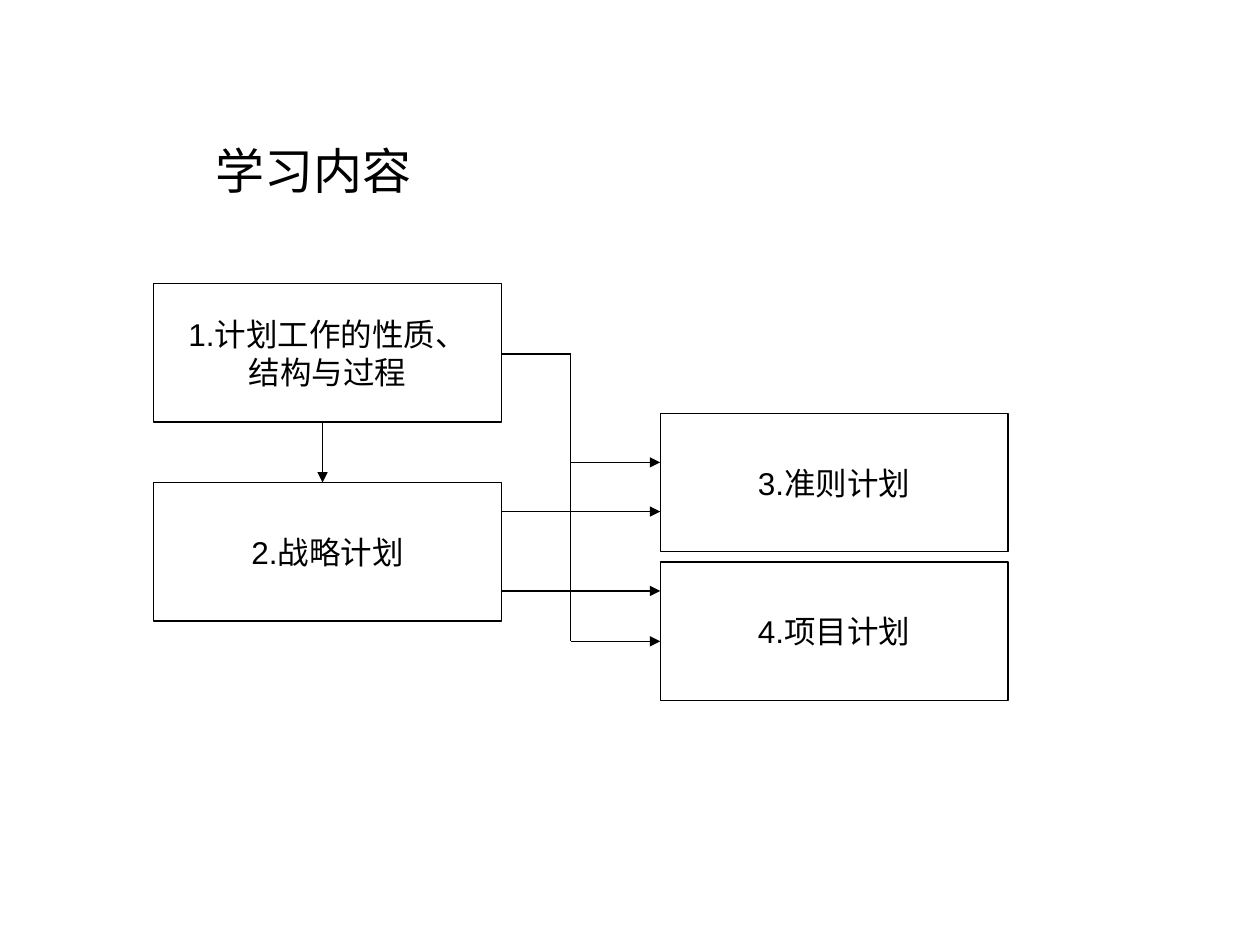
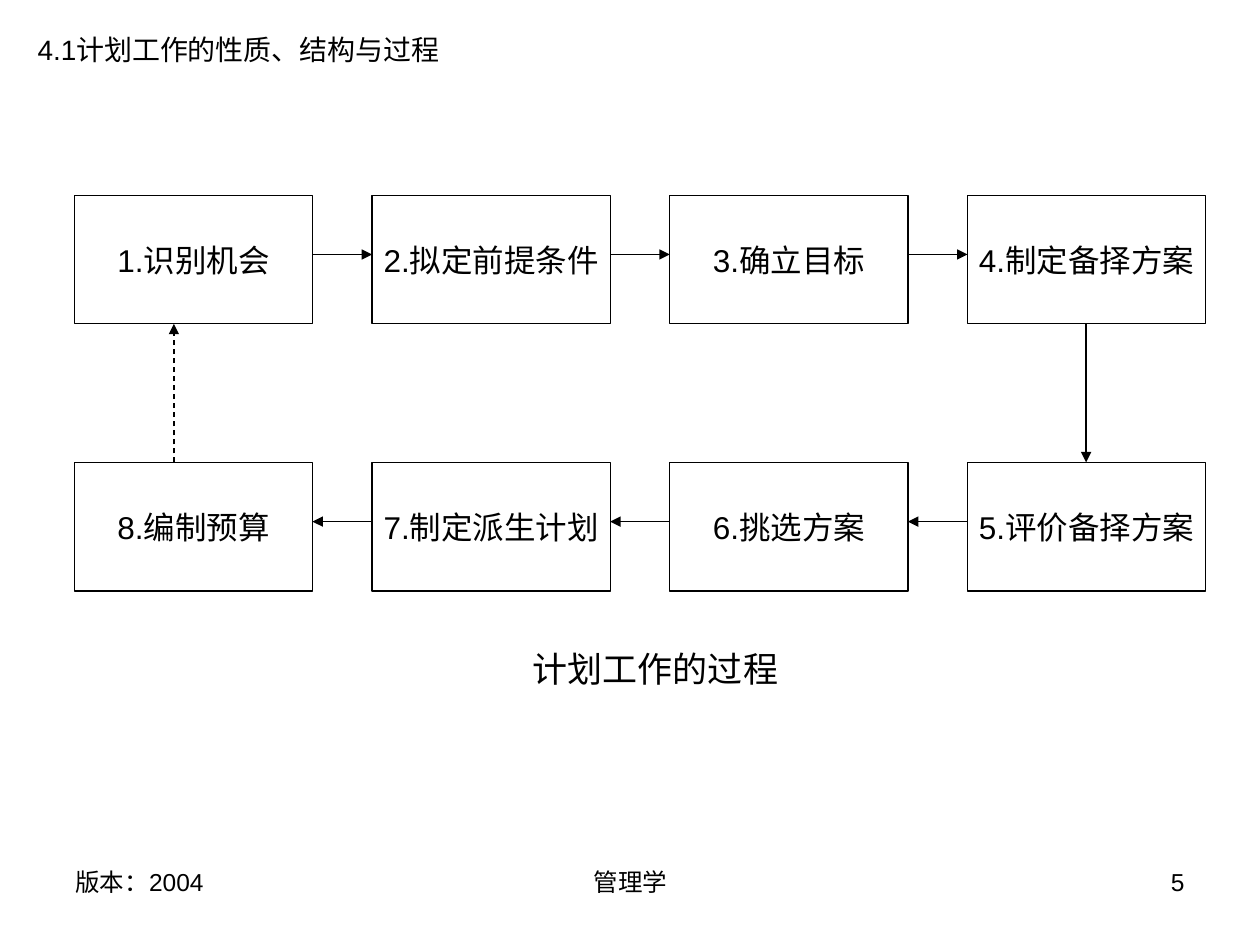
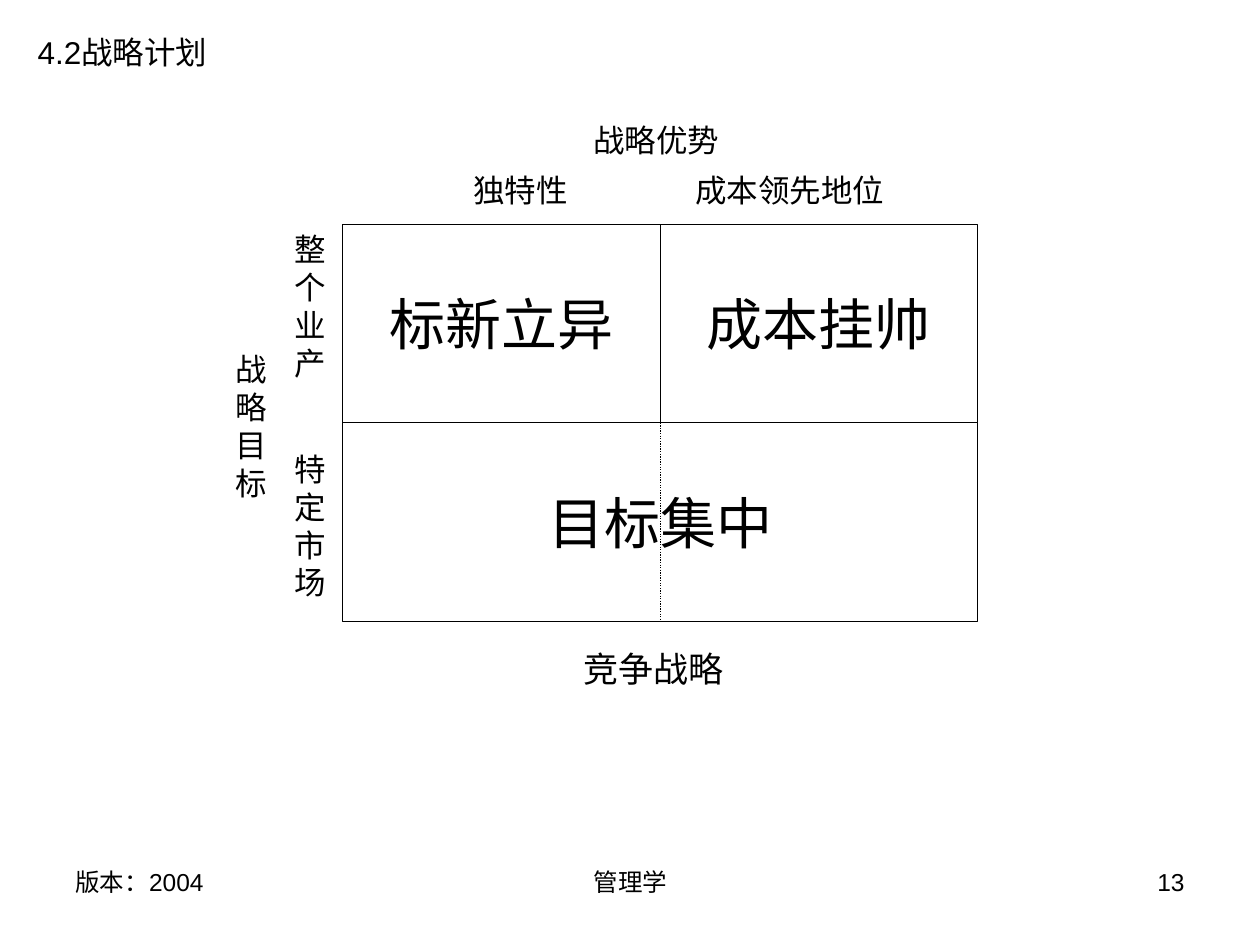
"""Build three slides on planning: contents, planning process and competitive strategies."""
from lxml import etree
from pptx import Presentation
from pptx.dml.color import RGBColor
from pptx.enum.dml import MSO_LINE
from pptx.enum.lang import MSO_LANGUAGE_ID
from pptx.enum.shapes import MSO_CONNECTOR, MSO_SHAPE
from pptx.enum.text import MSO_ANCHOR, PP_ALIGN
from pptx.oxml.ns import qn
from pptx.util import Inches, Pt

RECTANGLE = MSO_SHAPE.RECTANGLE
STRAIGHT = MSO_CONNECTOR.STRAIGHT
LEFT, CENTER, RIGHT = PP_ALIGN.LEFT, PP_ALIGN.CENTER, PP_ALIGN.RIGHT
TOP, MIDDLE = MSO_ANCHOR.TOP, MSO_ANCHOR.MIDDLE
DASHED, DOTTED = MSO_LINE.DASH, MSO_LINE.ROUND_DOT
CHINESE = MSO_LANGUAGE_ID.SIMPLIFIED_CHINESE
BLACK, WHITE = "000000", "FFFFFF"
LATIN_FONT, CJK_FONT = "Arial", "Noto Sans CJK SC"
LINE_WIDTH = Pt(0.75)
color = RGBColor.from_string


def write(slide, text, at, size=18, font=LATIN_FONT, align=LEFT, framed=False, gap=0):
    """Place text in a plain box or, if framed, in a centred outlined rectangle."""
    place = [Inches(value) for value in at]
    if framed:
        box = slide.shapes.add_shape(RECTANGLE, *place)
        box.shadow.inherit = False
        box.fill.solid()
        box.fill.fore_color.rgb = color(WHITE)
        box.line.color.rgb = color(BLACK)
        box.line.width = LINE_WIDTH
    else:
        box = slide.shapes.add_textbox(*place)
    frame = box.text_frame
    frame.word_wrap = not framed
    frame.vertical_anchor = MIDDLE if framed else TOP
    for index, line in enumerate(text.split("\n")):
        paragraph = frame.paragraphs[0] if index == 0 else frame.add_paragraph()
        paragraph.alignment = CENTER if framed else align
        if index and gap:
            paragraph.space_before = Pt(gap)
        run = paragraph.add_run()
        run.text = line
        run.font.size = Pt(size)
        run.font.color.rgb = color(BLACK)
        run.font.name = font
        run.font.language_id = CHINESE
        etree.SubElement(run.font._element, qn("a:ea"), typeface=LATIN_FONT)


def connect(slide, start, end, arrow=True, dash=None):
    """Draw a thin straight line, by default with an arrowhead at its end."""
    connector = slide.shapes.add_connector(STRAIGHT, *[Inches(v) for v in (*start, *end)])
    connector.line.color.rgb = color(BLACK)
    connector.line.width = LINE_WIDTH
    if dash:
        connector.line.dash_style = dash
    properties = connector._element.spPr
    if arrow:
        etree.SubElement(properties.find(qn("a:ln")), qn("a:tailEnd"), type="triangle")
    etree.SubElement(properties, qn("a:effectLst"))


prs = Presentation()
prs.slide_width, prs.slide_height = Inches(10), Inches(7.5)
contents, process, strategy = [prs.slides.add_slide(prs.slide_layouts[6]) for _ in range(3)]

for slide, number in ((process, "5"), (strategy, "13")):
    write(slide, "版本：2004", (0.5, 6.83, 2.33, 0.52), size=14)
    write(slide, "管理学", (3.42, 6.83, 3.17, 0.52), size=14, align=CENTER)
    write(slide, number, (7.17, 6.83, 2.33, 0.52), size=14, align=RIGHT)

write(contents, "学习内容", (1.61, 1.07, 1.89, 0.57), size=28)
topic_width, topic_height = 2.76, 1.1
for topic, left, top in (
    ("1.计划工作的性质、\n结构与过程", 1.22, 2.25),
    ("2.战略计划", 1.22, 3.83),
    ("3.准则计划", 5.24, 3.28),
    ("4.项目计划", 5.24, 4.46),
):
    write(contents, topic, (left, top, topic_width, topic_height), framed=True)

source_edge, trunk, target_edge = 3.98, 4.53, 5.24
connect(contents, (2.56, 3.36), (2.56, 3.83))
connect(contents, (source_edge, 2.81), (trunk, 2.81), arrow=False)
connect(contents, (trunk, 2.81), (trunk, 5.09), arrow=False)
for start, y in ((source_edge, 4.06), (source_edge, 4.69), (trunk, 3.67), (trunk, 5.09)):
    connect(contents, (start, y), (target_edge, y))

write(process, "4.1计划工作的性质、结构与过程", (0.2, 0.21, 3.47, 0.37), size=16)
steps = ["识别机会", "拟定前提条件", "确立目标", "制定备择方案",
         "评价备择方案", "挑选方案", "制定派生计划", "编制预算"]
step_width, step_height = 1.89, 1.02
columns = [0.59 + 2.363 * column for column in range(4)]
upper, lower = 1.55, 3.67
for index, step in enumerate(steps):
    left, top = (columns[index], upper) if index < 4 else (columns[7 - index], lower)
    write(process, f"{index + 1}.{step}", (left, top, step_width, step_height), framed=True)
for left, following in zip(columns, columns[1:]):
    connect(process, (left + step_width, upper + 0.47), (following, upper + 0.47))
    connect(process, (following, lower + 0.47), (left + step_width, lower + 0.47))
connect(process, (8.62, upper + step_height), (8.62, lower))
connect(process, (1.38, lower), (1.38, upper + step_height), dash=DASHED)
write(process, "计划工作的过程", (4.13, 5.09, 2.2, 0.43), size=20, font=CJK_FONT)

write(strategy, "4.2战略计划", (0.2, 0.21, 1.55, 0.4))
grid_left, grid_top, cell_width, cell_height = 2.72, 1.78, 2.52, 1.575
grid_middle, grid_split = grid_left + cell_width, grid_top + cell_height
for name, left, top, width in (
    ("标新立异", grid_left, grid_top, cell_width),
    ("成本挂帅", grid_middle, grid_top, cell_width),
    ("目标集中", grid_left, grid_split, 2 * cell_width),
):
    write(strategy, name, (left, top, width, cell_height), size=32, framed=True)
connect(strategy, (grid_middle, grid_split), (grid_middle, grid_split + cell_height),
        arrow=False, dash=DOTTED)
write(strategy, "战略优势", (4.61, 0.91, 1.26, 0.4))
write(strategy, "独特性", (3.66, 1.31, 1.5, 0.4), font=CJK_FONT)
write(strategy, "成本领先地位", (5.42, 1.31, 2.34, 0.4))
write(strategy, "战略目标", (1.77, 2.73, 0.47, 1.3))
write(strategy, "整个业产\n特定市场", (2.24, grid_top, 0.47, 3.11), gap=39)
write(strategy, "竞争战略", (4.53, 5.09, 1.34, 0.43), size=20)

prs.save("out.pptx")
